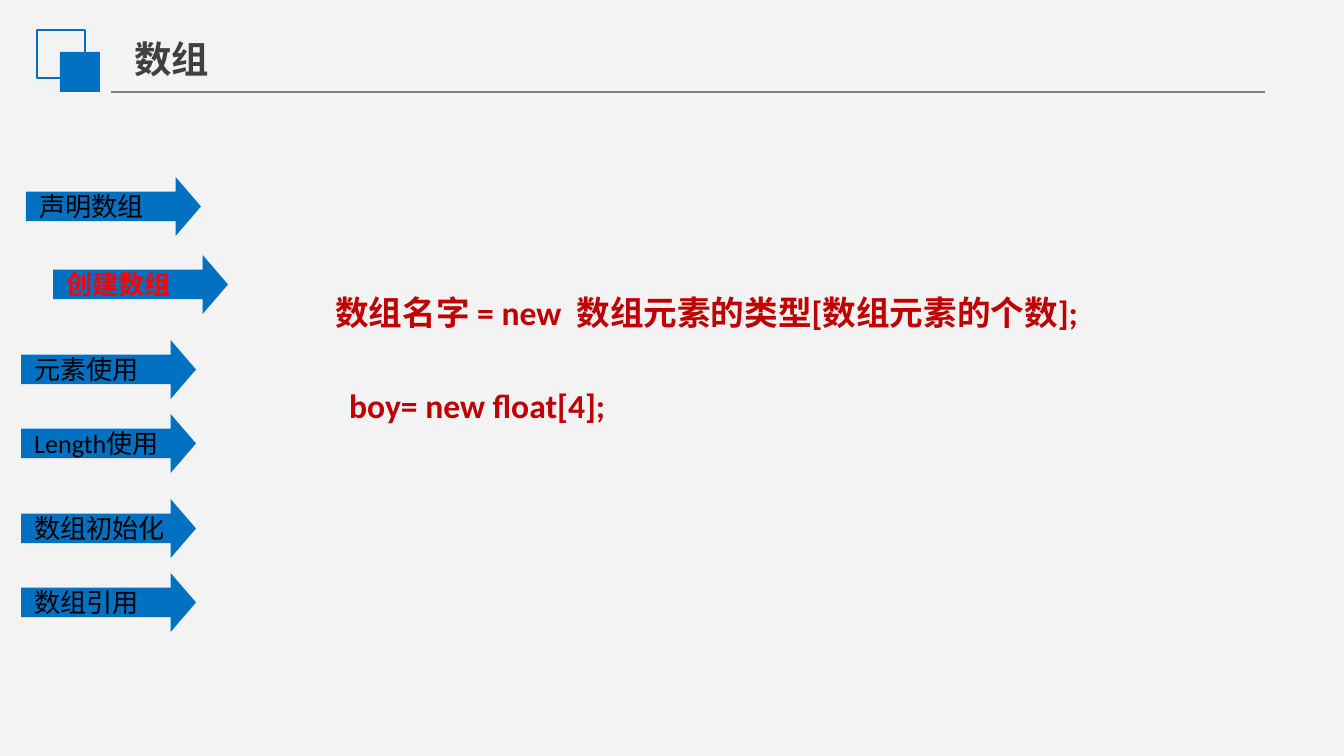
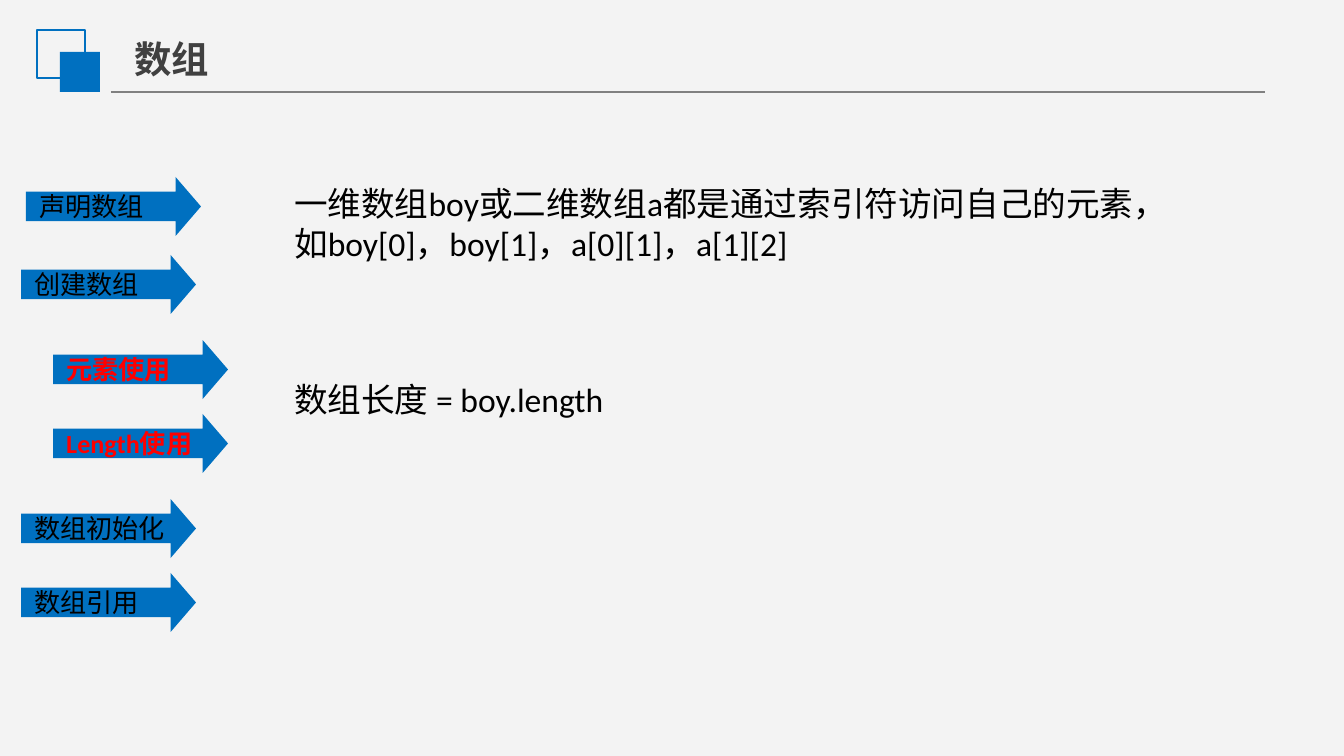
from dataclasses import dataclass
from typing import NamedTuple

from lxml import etree
from pptx import Presentation
from pptx.dml.color import RGBColor
from pptx.enum.shapes import MSO_CONNECTOR, MSO_SHAPE
from pptx.enum.text import MSO_ANCHOR, MSO_AUTO_SIZE, PP_ALIGN
from pptx.oxml.ns import qn
from pptx.util import Pt

RECTANGLE = MSO_SHAPE.RECTANGLE
RIGHT_ARROW = MSO_SHAPE.RIGHT_ARROW
STRAIGHT = MSO_CONNECTOR.STRAIGHT
MIDDLE = MSO_ANCHOR.MIDDLE
LEFT = PP_ALIGN.LEFT
GROW = MSO_AUTO_SIZE.SHAPE_TO_FIT_TEXT

EMU_PER_PX = 914400 / 134.4
PAGE_WIDTH, PAGE_HEIGHT = 1344, 756


@dataclass(frozen=True)
class Theme:
    paper: str = "F3F3F3"
    accent: str = "0070C0"
    rule: str = "808080"
    title: str = "404040"
    text: str = "000000"
    active: str = "FF0000"
    code: str = "C00000"
    latin_font: str = "Calibri"
    chinese_font: str = "Noto Sans CJK SC"
    title_size: int = 20
    body_size: int = 18
    step_size: int = 14


class Box(NamedTuple):
    left: int
    top: int
    width: int
    height: int

    def inner(self, left, top, width, height):
        return Box(self.left + left, self.top + top, width, height)

    def emu(self):
        return [px(length) for length in self]


THEME = Theme()
HEADING = Box(37, 30, 1228, 62)
STEPS = Box(21, 177, 207, 455)
CONTENT = Box(281, 176, 921, 456)

# Step name, offset from the top of the list, indent when not active
STEP_ROWS = [
    ("声明数组", 0, 5),
    ("创建数组", 78, 0),
    ("元素使用", 163, 0),
    ("Length使用", 237, 0),
    ("数组初始化", 322, 0),
    ("数组引用", 396, 0),
]
ACTIVE_INDENT = 32
ARROW_WIDTH, ARROW_HEIGHT = 175, 59


def px(length):
    return round(length * EMU_PER_PX)


def color(code):
    return RGBColor.from_string(code)


def write(frame, text, size, ink, bold=False, font=THEME.latin_font):
    frame.text = text
    para = frame.paragraphs[0]
    para.alignment = LEFT
    for span in para.runs:
        span.font.name = font
        span.font.size = Pt(size)
        span.font.bold = bold
        span.font.color.rgb = color(ink)
        east_asian = etree.SubElement(span.font._element, qn("a:ea"))
        east_asian.set("typeface", THEME.chinese_font)


def add_shape(page, kind, box, filled=True):
    shape = page.shapes.add_shape(kind, *box.emu())
    shape.shadow.inherit = False
    if filled:
        shape.fill.solid()
        shape.fill.fore_color.rgb = color(THEME.accent)
        shape.line.fill.background()
    else:
        shape.fill.background()
        shape.line.color.rgb = color(THEME.accent)
        shape.line.width = Pt(1)
    return shape


def add_text(page, box, text, size, ink, wrap=True, **style):
    frame = page.shapes.add_textbox(*box.emu()).text_frame
    frame.word_wrap = wrap
    frame.auto_size = GROW
    write(frame, text, size, ink, **style)


def add_heading(page, box, title):
    # Rule under the title
    bottom = px(box.top + box.height)
    rule = page.shapes.add_connector(
        STRAIGHT, px(box.left + 74), bottom, px(box.left + box.width), bottom)
    rule.line.color.rgb = color(THEME.rule)
    rule.line.width = Pt(0.75)
    etree.SubElement(rule._element.spPr, qn("a:effectLst"))

    # Overlapping squares
    add_shape(page, RECTANGLE, box.inner(0, 0, 48, 48), filled=False)
    add_shape(page, RECTANGLE, box.inner(23, 22, 40, 40))

    add_text(page, box.inner(84, 0, 102, 59), title, THEME.title_size, THEME.title,
             wrap=False, bold=True, font=THEME.chinese_font)


def add_steps(page, box, active_steps):
    for name, offset, indent in STEP_ROWS:
        active = name in active_steps
        left = ACTIVE_INDENT if active else indent
        arrow = add_shape(page, RIGHT_ARROW,
                          box.inner(left, offset, ARROW_WIDTH, ARROW_HEIGHT))
        arrow.adjustments[0] = 0.5
        arrow.adjustments[1] = 0.43
        frame = arrow.text_frame
        frame.vertical_anchor = MIDDLE
        frame.word_wrap = True
        write(frame, name, THEME.step_size,
              THEME.active if active else THEME.text, bold=active)


def add_page(deck, active_steps):
    page = deck.slides.add_slide(deck.slide_layouts[6])
    page.background.fill.solid()
    page.background.fill.fore_color.rgb = color(THEME.paper)
    add_heading(page, HEADING, "数组")
    add_steps(page, STEPS, active_steps)
    return page


def add_creation(page, box):
    add_text(page, box.inner(41, 109, 804, 54),
             "数组名字 = new  数组元素的类型[数组元素的个数];",
             THEME.body_size, THEME.code, bold=True)
    add_text(page, box.inner(55, 202, 673, 54), "boy= new float[4];",
             THEME.body_size, THEME.code, bold=True)


def add_access(page, box):
    add_text(page, box.inner(0, 0, 921, 95),
             "一维数组boy或二维数组a都是通过索引符访问自己的元素，"
             "如boy[0]，boy[1]，a[0][1]，a[1][2]",
             THEME.body_size, THEME.text)
    add_text(page, box.inner(0, 196, 603, 54), "数组长度 = boy.length",
             THEME.body_size, THEME.text)


def main():
    deck = Presentation()
    deck.slide_width, deck.slide_height = px(PAGE_WIDTH), px(PAGE_HEIGHT)
    add_creation(add_page(deck, ["创建数组"]), CONTENT)
    add_access(add_page(deck, ["元素使用", "Length使用"]), CONTENT)
    deck.save("out.pptx")


if __name__ == "__main__":
    main()
